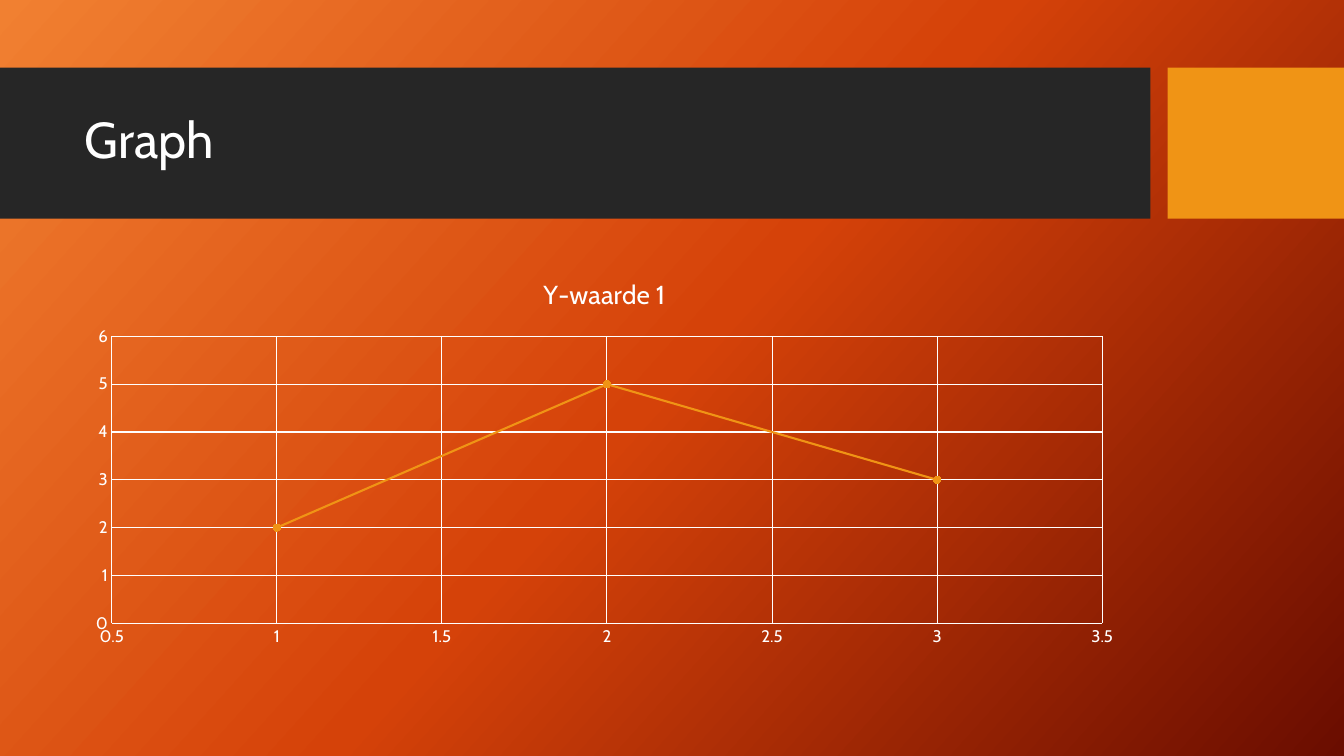
from copy import deepcopy
from pptx import Presentation
from pptx.chart.data import XyChartData
from pptx.dml.color import RGBColor
from pptx.enum import chart as ch, shapes, text
from pptx.oxml.ns import qn
from pptx.util import Inches, Pt

FONT = "Cabin"
WHITE, DARK, GOLD = "FFFFFF", "262626", "F09415"
STOPS = [(0, "F18031"), (0.5, "D54209"), (1, "6A0D00")]
ANGLE = 42  # clockwise
TITLE = "Graph"
NAME = "Y-waarde 1"
POINTS = [(1, 2), (2, 5), (3, 3)]
BANDS = [(0, 11.41, DARK), (11.58, 1.75, GOLD)]  # left, width, colour
BAND_TOP, BAND_HIGH = 0.67, 1.5
LEFT, WIDE = 0.74, 10.51


def rgb(code):
    return RGBColor.from_string(code)


def style(font, size):
    font.name, font.size, font.bold = FONT, Pt(size), False
    font.color.rgb = rgb(WHITE)


def rule(line, color, width):
    line.color.rgb = rgb(color)
    line.width = Pt(width)


def paint(slide):
    """Fill the background with the three-stop gradient."""
    fill = slide.background.fill
    fill.gradient()
    fill.gradient_angle = 360 - ANGLE
    stops = slide.element.find(".//" + qn("a:gsLst"))
    stops.append(deepcopy(stops[-1]))
    for stop, (place, color) in zip(fill.gradient_stops, STOPS):
        stop.position = place
        stop.color.rgb = rgb(color)


def add_bands(slide):
    for left, wide, color in BANDS:
        band = slide.shapes.add_shape(
            shapes.MSO_SHAPE.RECTANGLE, Inches(left), Inches(BAND_TOP),
            Inches(wide), Inches(BAND_HIGH))
        band.shadow.inherit = False
        band.fill.solid()
        band.fill.fore_color.rgb = rgb(color)
        band.line.fill.background()


def set_title(slide):
    title = slide.shapes.title
    slide.shapes.element.append(title.element)  # in front of the bands
    title.left, title.top = Inches(LEFT), Inches(0.82)
    title.width, title.height = Inches(WIDE), Inches(1.18)
    frame = title.text_frame
    frame.text = TITLE
    frame.vertical_anchor = text.MSO_ANCHOR.MIDDLE
    para = frame.paragraphs[0]
    para.alignment = text.PP_ALIGN.LEFT
    para.line_spacing = 0.9
    style(para.runs[0].font, 36)


def set_axis(axis, low, high, step):
    axis.minimum_scale, axis.maximum_scale = low, high
    axis.major_unit = step
    axis.major_tick_mark = axis.minor_tick_mark = ch.XL_TICK_MARK.NONE
    axis.has_major_gridlines = True
    rule(axis.major_gridlines.format.line, WHITE, 0.75)
    rule(axis.format.line, WHITE, 0.75)
    style(axis.tick_labels.font, 12)


def add_graph(slide):
    data = XyChartData()
    series = data.add_series(NAME)
    for x, y in POINTS:
        series.add_data_point(x, y)
    chart = slide.shapes.add_chart(
        ch.XL_CHART_TYPE.XY_SCATTER_LINES, Inches(LEFT), Inches(2.56),
        Inches(WIDE), Inches(3.94), data).chart
    style(chart.font, 10)
    chart.has_legend = False
    chart.has_title = True
    frame = chart.chart_title.text_frame
    frame.text = NAME
    style(frame.paragraphs[0].runs[0].font, 18.6)
    set_axis(chart.category_axis, 0.5, 3.5, 0.5)
    set_axis(chart.value_axis, 0, 6, 1)

    plot = chart.plots[0]
    plot.vary_by_categories = False
    curve = plot.series[0]
    curve.smooth = False
    rule(curve.format.line, GOLD, 1.5)
    mark = curve.marker
    mark.style, mark.size = ch.XL_MARKER_STYLE.CIRCLE, 5
    mark.format.fill.solid()
    mark.format.fill.fore_color.rgb = rgb(GOLD)
    rule(mark.format.line, GOLD, 0.75)


def main():
    deck = Presentation()
    deck.slide_width, deck.slide_height = Inches(13.33), Inches(7.5)
    slide = deck.slides.add_slide(deck.slide_layouts[5])
    paint(slide)
    add_bands(slide)
    set_title(slide)
    add_graph(slide)
    deck.save("out.pptx")


if __name__ == "__main__":
    main()
